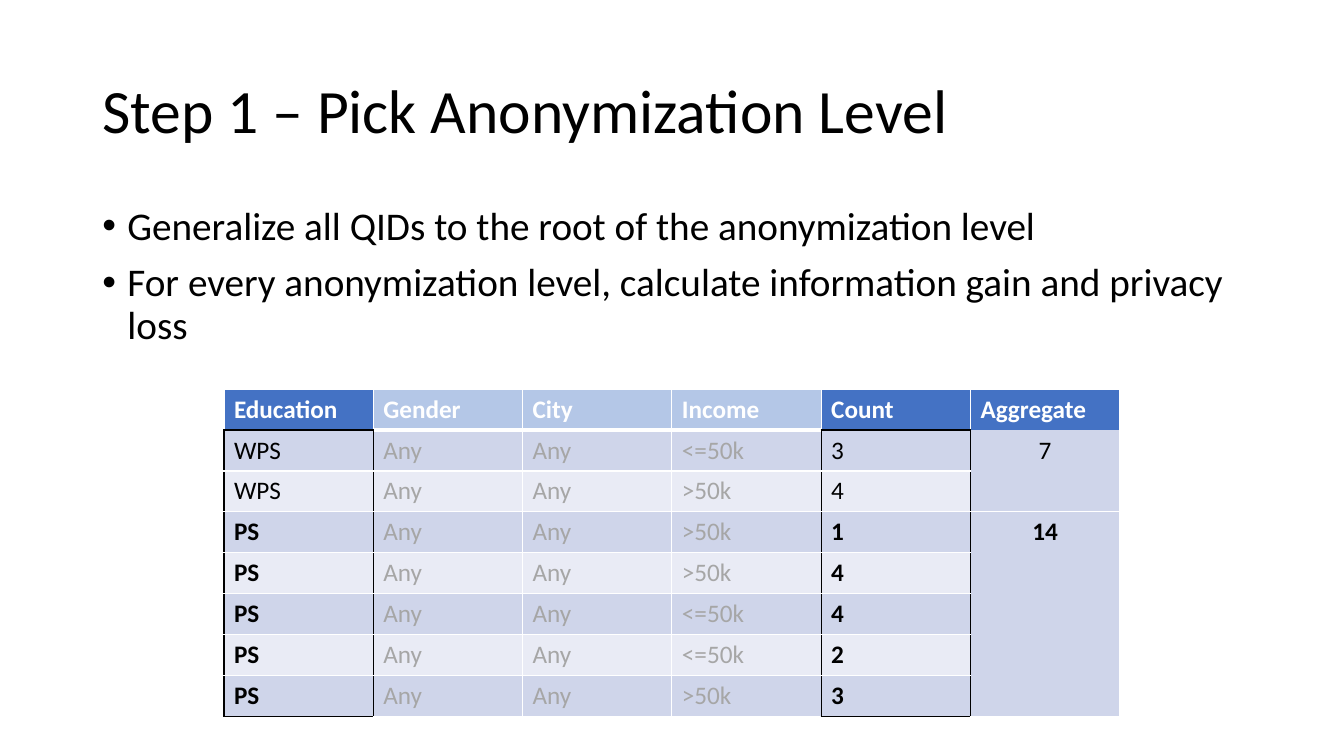
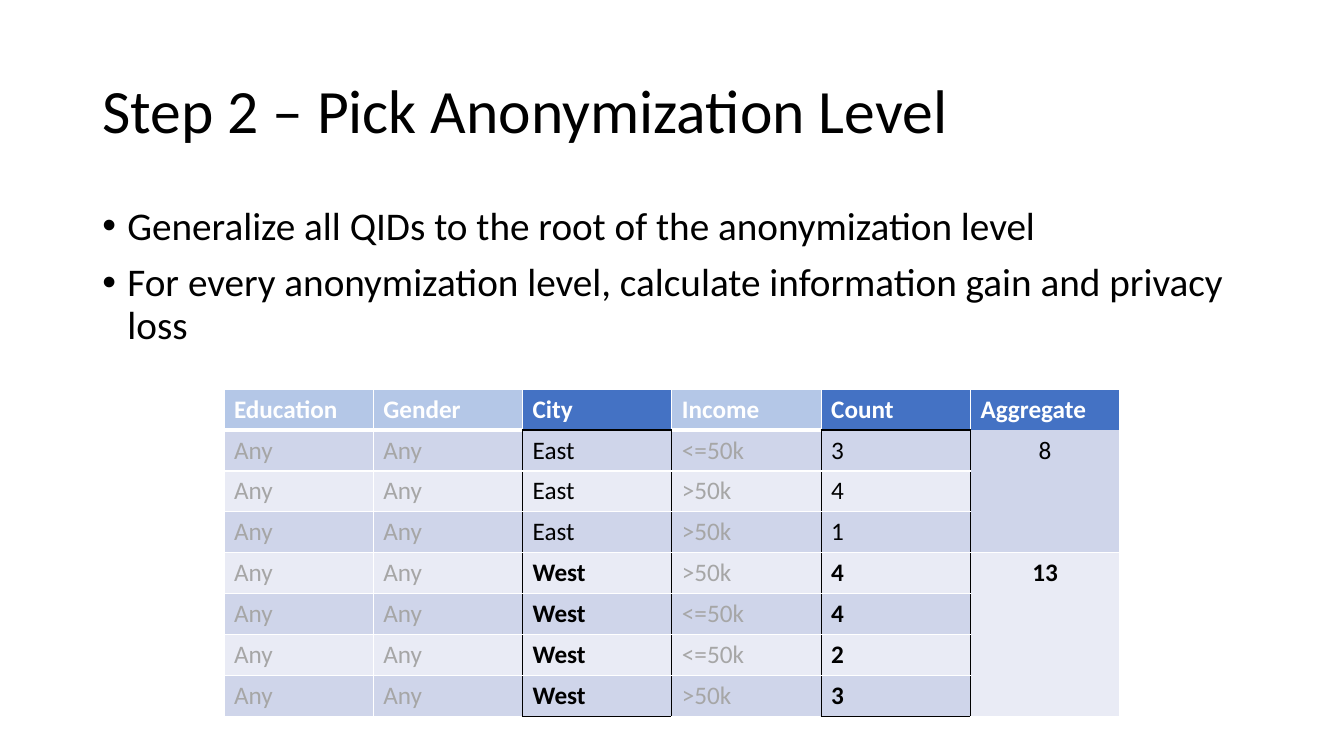
from lxml.etree import SubElement
from pptx import Presentation
from pptx.dml.color import RGBColor
from pptx.enum.text import MSO_ANCHOR, PP_ALIGN
from pptx.oxml.ns import qn
from pptx.util import Pt

FONT = "Calibri"
BLACK, WHITE, GREY = "000000", "FFFFFF", "A6A6A6"
BLUE, PALE_BLUE = "4472C4", "B4C7E7"
BANDS = ["CFD5EA", "E9EBF5"]

HEADERS = ["Education", "Gender", "City", "Income", "Count", "Aggregate"]
GENDER, INCOME, COUNT, AGGREGATE = 1, 3, 4, 5
BULLETS = [
    "Generalize all QIDs to the root of the anonymization level",
    "For every anonymization level, calculate information gain and privacy loss",
]
RECORDS = [("<=50k", 3), (">50k", 4), (">50k", 1), (">50k", 4),
           ("<=50k", 4), ("<=50k", 2), (">50k", 3)]
# Title, picked column, and the (value, number of rows) groups in that column
STEPS = [
    ("Step 1 – Pick Anonymization Level", 0, [("WPS", 2), ("PS", 5)]),
    ("Step 2 – Pick Anonymization Level", 2, [("East", 3), ("West", 4)]),
]


def color(hex_string):
    return RGBColor.from_string(hex_string)


def write(text_frame, text, size=18, ink=BLACK, bold=False, align=PP_ALIGN.LEFT,
          line_spacing=None, space_before=0, bullet=False):
    text_frame.word_wrap = True
    text_frame.text = text
    for paragraph in text_frame.paragraphs:
        paragraph.alignment = align
        paragraph.line_spacing = line_spacing
        paragraph.space_before = Pt(space_before)
        font = paragraph.runs[0].font
        font.name, font.size, font.bold = FONT, Pt(size), bold
        font.color.rgb = color(ink)
        if bullet:
            properties = paragraph._p.get_or_add_pPr()
            properties.set("marL", str(Pt(18)))
            properties.set("indent", str(Pt(-18)))
            SubElement(properties, qn("a:buFont"), typeface="Arial")
            SubElement(properties, qn("a:buChar"), char="•")


presentation = Presentation()
presentation.slide_width, presentation.slide_height = Pt(960), Pt(540)

for title, picked, groups in STEPS:
    slide = presentation.slides.add_slide(presentation.slide_layouts[6])

    # Title and bullets
    title_box = slide.shapes.add_textbox(Pt(66), Pt(28.8), Pt(828), Pt(104.4))
    title_box.text_frame.vertical_anchor = MSO_ANCHOR.MIDDLE
    write(title_box.text_frame, title, size=44, line_spacing=0.9)
    body_box = slide.shapes.add_textbox(Pt(66), Pt(144), Pt(828), Pt(342.7))
    write(body_box.text_frame, "\n".join(BULLETS), size=28, line_spacing=0.9,
          space_before=10, bullet=True)

    # Table grid
    row_count = len(RECORDS) + 1
    table = slide.shapes.add_table(row_count, len(HEADERS), Pt(160), Pt(278),
                                   Pt(640), Pt(29.2 * row_count)).table
    framed = {picked, COUNT}
    active = framed | {AGGREGATE}

    # Header row
    for column, header in enumerate(HEADERS):
        cell = table.cell(0, column)
        write(cell.text_frame, header, ink=WHITE, bold=True)

    # Records, with one merged total for each group
    row = 1
    for group_index, (value, size) in enumerate(groups):
        bold = group_index == 1
        group_records = RECORDS[row - 1:row - 1 + size]
        total = table.cell(row, AGGREGATE)
        total.merge(table.cell(row + size - 1, AGGREGATE))
        write(total.text_frame, str(sum(count for _, count in group_records)),
              bold=bold, align=PP_ALIGN.CENTER)
        for income, count in group_records:
            texts = ["Any"] * AGGREGATE
            texts[INCOME], texts[COUNT], texts[picked] = income, str(count), value
            for column, text in enumerate(texts):
                is_framed = column in framed
                write(table.cell(row, column).text_frame, text,
                      ink=BLACK if is_framed else GREY, bold=bold and is_framed)
            row += 1

    # Borders and fills: black frames around the picked and count columns
    for row in range(row_count):
        for column in range(len(HEADERS)):
            cell = table.cell(row, column)
            properties = cell._tc.get_or_add_tcPr()
            sides = []
            for tag, edge in (("a:lnL", column), ("a:lnR", column + 1)):
                black = row > 0 and framed & {edge - 1, edge}
                sides.append((tag, BLACK if black else WHITE, 1))
            for tag, edge in (("a:lnT", row), ("a:lnB", row + 1)):
                if edge == 1 and column == AGGREGATE:
                    sides.append((tag, None, 0))
                elif edge in (1, row_count) and column in framed:
                    sides.append((tag, BLACK, 1))
                else:
                    sides.append((tag, WHITE, 3 if edge == 1 else 1))
            for tag, ink, width in [] if cell.is_spanned else sides:
                line = SubElement(properties, qn(tag), w=str(Pt(width)))
                if ink:
                    fill = SubElement(line, qn("a:solidFill"))
                    SubElement(fill, qn("a:srgbClr"), val=ink)
                else:
                    SubElement(line, qn("a:noFill"))
            cell.fill.solid()
            if row == 0:
                shade = BLUE if column in active else PALE_BLUE
            else:
                shade = BANDS[(row - 1) % 2]
            cell.fill.fore_color.rgb = color(shade)

presentation.save("out.pptx")
